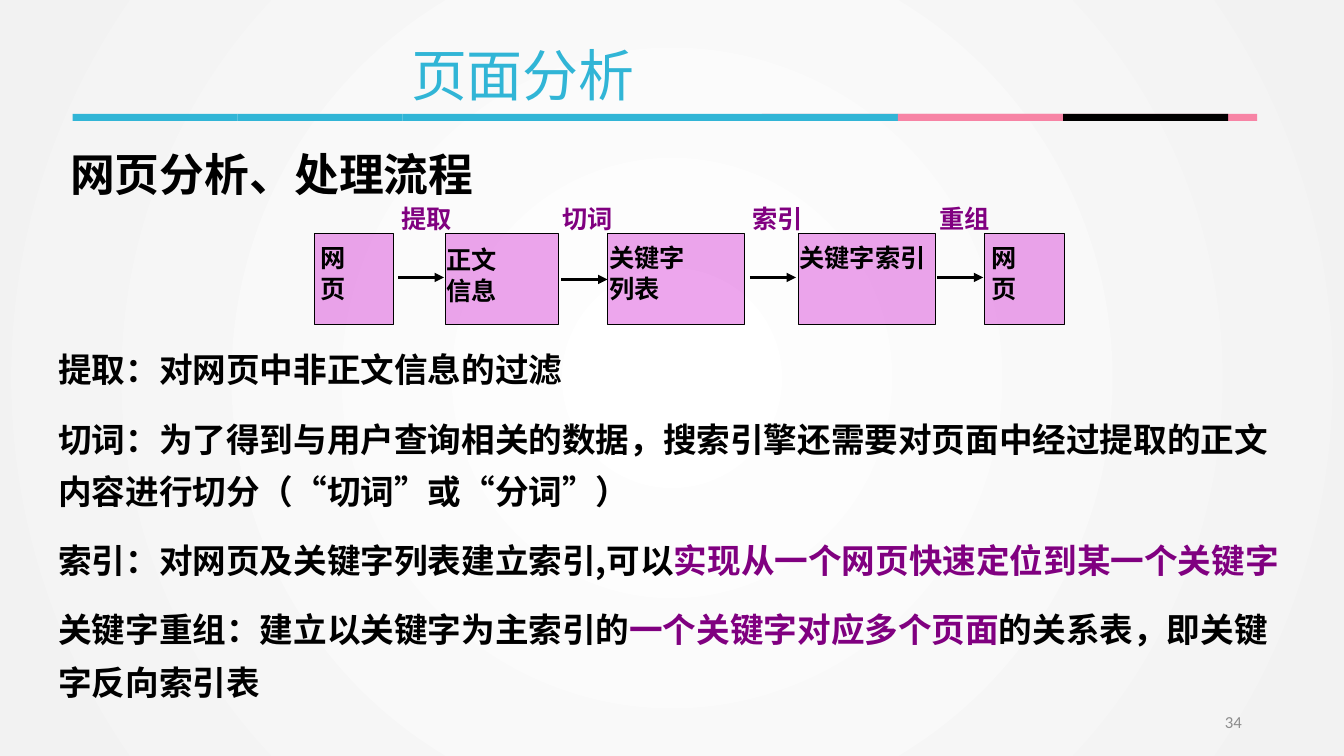
from dataclasses import dataclass

from lxml.etree import SubElement
from pptx import Presentation
from pptx.dml.color import RGBColor as Rgb
from pptx.enum.shapes import MSO_CONNECTOR as Connector, MSO_SHAPE as Preset
from pptx.enum.text import MSO_ANCHOR as Anchor, PP_ALIGN as Align
from pptx.oxml.ns import qn
from pptx.util import Cm, Pt


@dataclass(frozen=True)
class Theme:
    blue: str = "31B5D6"
    pink: str = "F784A5"
    black: str = "000000"
    purple: str = "800080"
    step: str = "CC00CC"
    grey: str = "8C8C8C"
    white: str = "FFFFFF"
    edge: str = "F2F2F2"
    latin: str = "Calibri"
    quote: str = "Arial"
    chinese: str = "Noto Sans CJK SC"
    title: int = 40
    heading: int = 32
    body: int = 24
    label: int = 18
    number: int = 12


THEME = Theme()


def add_text(paragraph, text, size=THEME.label, color=THEME.black, font=THEME.latin, bold=True):
    for index, line in enumerate(text.split("\n")):
        if index:
            paragraph.add_line_break()
        run = paragraph.add_run()
        run.text = line
        run.font.size = Pt(size)
        run.font.bold = bold
        run.font.name = font
        run.font.color.rgb = Rgb.from_string(color)
        SubElement(run.font._element, qn("a:ea"), typeface=THEME.chinese)


class SlideBuilder:
    def __init__(self, slide, theme):
        self.slide = slide
        self.theme = theme

    def background(self):
        fill = self.slide.background.fill
        fill.gradient()
        for stop, color in zip(fill.gradient_stops, (self.theme.white, self.theme.edge)):
            stop.color.rgb = Rgb.from_string(color)
        gradient = next(self.slide.element.iter(qn("a:gradFill")))
        gradient.remove(gradient.find(qn("a:lin")))
        circle = SubElement(gradient, qn("a:path"), path="circle")
        SubElement(circle, qn("a:fillToRect"), l="50000", t="50000", r="50000", b="50000")

    def box(self, left, top, width, height, color, alpha=None, outline=None):
        box = self.slide.shapes.add_shape(
            Preset.RECTANGLE, Cm(left), Cm(top), Cm(width), Cm(height))
        box.shadow.inherit = False
        box.fill.solid()
        box.fill.fore_color.rgb = Rgb.from_string(color)
        if alpha:
            tint = box.element.spPr.find(qn("a:solidFill"))[0]
            SubElement(tint, qn("a:alpha"), val=str(alpha * 1000))
        if outline:
            box.line.color.rgb = Rgb.from_string(outline)
            box.line.width = Pt(0.75)
        else:
            box.line.fill.background()

    def text(self, left, top, width, height, paragraphs, size, inset=(0.25, 0.13, 0.25),
             wrap=True, spacing=1.2, before=0, align=Align.LEFT, anchor=Anchor.TOP, **style):
        frame = self.slide.shapes.add_textbox(
            Cm(left), Cm(top), Cm(width), Cm(height)).text_frame
        frame.word_wrap = wrap
        frame.vertical_anchor = anchor
        frame.margin_left, edge, frame.margin_right = map(Cm, inset)
        frame.margin_top = edge + Pt(size * 0.1)
        frame.margin_bottom = edge
        for index, runs in enumerate(paragraphs):
            paragraph = frame.add_paragraph() if index else frame.paragraphs[0]
            paragraph.alignment = align
            paragraph.line_spacing = Pt(size * spacing)
            paragraph.space_before = Pt(before if index else 0)
            for words, special in runs:
                add_text(paragraph, words, size=size, **{**style, **special})

    def arrow(self, start, end, y):
        arrow = self.slide.shapes.add_connector(
            Connector.STRAIGHT, Cm(start), Cm(y), Cm(end), Cm(y))
        arrow.line.color.rgb = Rgb.from_string(self.theme.black)
        arrow.line.width = Pt(2.25)
        SubElement(arrow.line._get_or_add_ln(), qn("a:tailEnd"), type="triangle")
        SubElement(arrow.element.spPr, qn("a:effectLst"))


def plain(text):
    return [[(text, {})]]


def main():
    deck = Presentation()
    deck.slide_width, deck.slide_height = Cm(33.87), Cm(19.05)
    page = SlideBuilder(deck.slides.add_slide(deck.slide_layouts[6]), THEME)
    page.background()

    bar = 4.16
    for index in range(3):
        page.box(19.2 + index * bar, 2.87, bar, 0.18, THEME.pink)
    for index, color in enumerate([THEME.blue] * 5 + [THEME.pink, THEME.black]):
        page.box(1.83 + index * bar, 2.87, bar, 0.18, color)

    page.text(10.11, 0.76, 6.22, 1.96, plain("页面分析"), THEME.title, wrap=False,
              color=THEME.blue, font=THEME.chinese, bold=False)
    page.text(23.93, 17.65, 7.62, 1.02, plain("34"), THEME.number, align=Align.RIGHT,
              anchor=Anchor.MIDDLE, color=THEME.grey, bold=False)
    page.text(1.52, 3.45, 10.72, 1.6, plain("网页分析、处理流程"), THEME.heading, wrap=False)

    steps = [
        ("网\n页", 7.92, 2.01, 0.17, 6.05),
        ("正文\n信息", 11.23, 2.84, 0.03, 6.1),
        ("关键字\n列表", 15.32, 3.45, 0.03, 6.05),
        ("关键字索引", 20.12, 3.45, 0.03, 6.05),
        ("网\n页", 24.82, 2.01, 0.17, 6.05),
    ]
    for name, left, width, indent, top in steps:
        page.box(left, 5.89, width, 2.29, THEME.step, alpha=35, outline=THEME.black)
        page.text(left + indent, top, width, 1.7, plain(name), THEME.label, inset=(0, 0, 0))

    actions = [
        ("提取", 9.86, 10.03, 6.99),
        ("切词", 13.92, 14.15, 7.04),
        ("索引", 18.72, 18.9, 6.99),
        ("重组", 23.42, 23.62, 6.99),
    ]
    for name, left, start, y in actions:
        page.arrow(start, start + 1.16, y)
        page.text(left, 4.92, 1.81, 1.02, plain(name), THEME.label, wrap=False,
                  color=THEME.purple)

    quote = {"font": THEME.quote}
    accent = {"color": THEME.purple}
    explanations = [
        [("提取：对网页中非正文信息的过滤", {})],
        [("切词：为了得到与用户查询相关的数据，搜索引擎还需要对页面中经过提取的正文内容进行切分（", {}),
         ("“", quote), ("切词", {}), ("”", quote), ("或", {}),
         ("“", quote), ("分词", {}), ("”", quote), ("）", {})],
        [("索引：对网页及关键字列表建立索引,可以", {}),
         ("实现从一个网页快速定位到某一个关键字", accent)],
        [("关键字重组：建立以关键字为主索引的", {}),
         ("一个关键字对应多个页面", accent),
         ("的关系表，即关键字反向索引表", {})],
    ]
    page.text(1.22, 8.28, 31.67, 9.8, explanations, THEME.body, inset=(0.25, 0.13, 0.2),
              spacing=1.56, before=12, font=THEME.chinese)

    deck.save("out.pptx")


if __name__ == "__main__":
    main()
